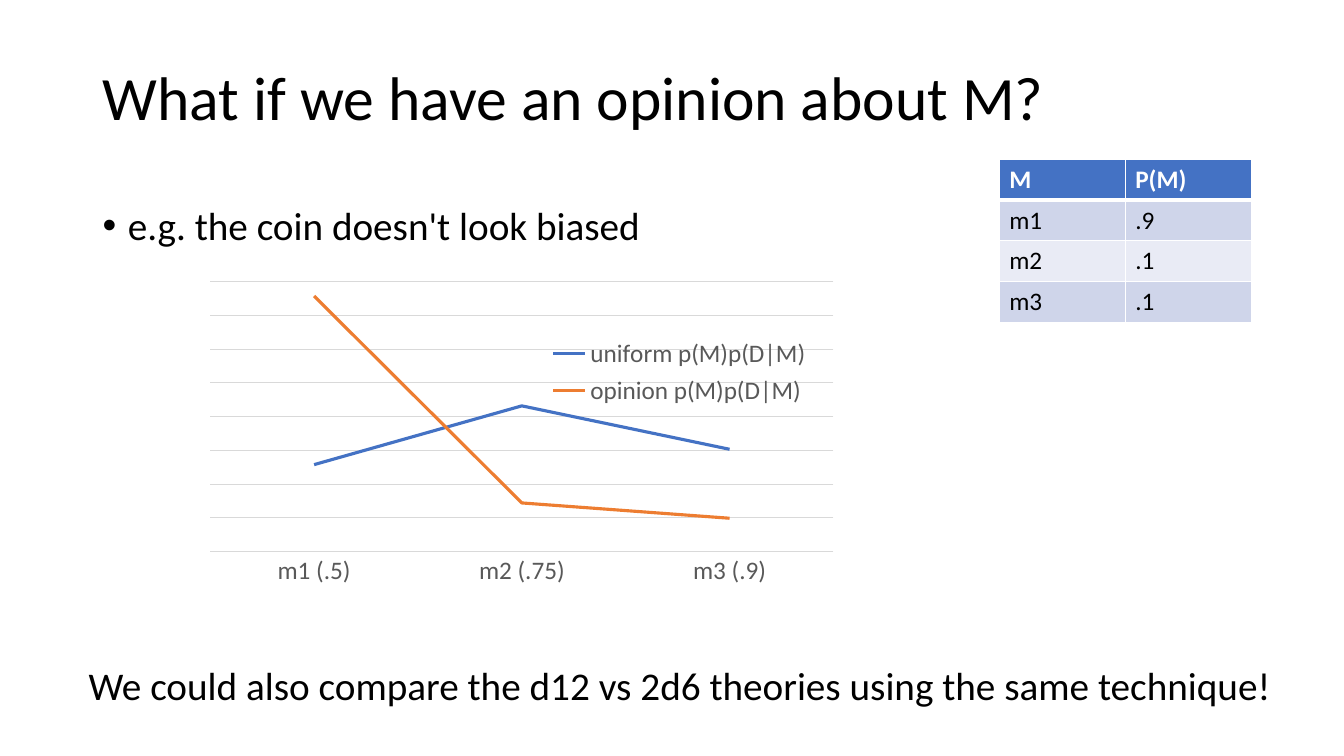
from lxml import etree
from pptx import Presentation
from pptx.chart.data import CategoryChartData
from pptx.dml.color import RGBColor
from pptx.enum import chart as ch, text
from pptx.oxml import parse_xml
from pptx.oxml.ns import nsdecls, qn
from pptx.util import Inches, Pt

FONT = "Calibri"
BLACK = RGBColor(0, 0, 0)
WHITE = RGBColor(0xFF, 0xFF, 0xFF)
GREY = RGBColor(0x59, 0x59, 0x59)
GRID = RGBColor(0xD9, 0xD9, 0xD9)
BLUE = RGBColor(0x44, 0x72, 0xC4)
ORANGE = RGBColor(0xED, 0x7D, 0x31)
BAND = RGBColor(0xCF, 0xD5, 0xEA)
PALE = RGBColor(0xE9, 0xEB, 0xF5)

PRIOR = [("M", "P(M)"), ("m1", ".9"), ("m2", ".1"), ("m3", ".1")]
CATS = ["m1 (.5)", "m2 (.75)", "m3 (.9)"]
SERIES = [
    ("uniform p(M)p(D|M)", (34, 57, 40), BLUE),
    ("opinion p(M)p(D|M)", (100, 19, 13), ORANGE),
]
STEP = 13.2


def style(font, size, color, bold=False):
    font.name = FONT
    font.size = Pt(size)
    font.color.rgb = color
    font.bold = bold


def place(shape, box):
    shape.left, shape.top, shape.width, shape.height = map(Inches, box)


def add_title(slide, words, box):
    title = slide.shapes.title
    place(title, box)
    frame = title.text_frame
    frame.text = words
    frame.auto_size = text.MSO_AUTO_SIZE.NONE
    frame.vertical_anchor = text.MSO_ANCHOR.MIDDLE
    para = frame.paragraphs[0]
    para.alignment = text.PP_ALIGN.LEFT
    para.line_spacing = 0.9
    style(para.runs[0].font, 44, BLACK)


def add_text(slide, words, box, wrap=True):
    frame = slide.shapes.add_textbox(*map(Inches, box)).text_frame
    frame.word_wrap = wrap
    frame.text = words
    para = frame.paragraphs[0]
    style(para.runs[0].font, 28, BLACK)
    return para


def add_bullet(para):
    para.line_spacing = 0.9
    props = para._p.get_or_add_pPr()
    props.set("marL", str(Inches(0.25)))
    props.set("indent", str(-Inches(0.25)))
    etree.SubElement(props, qn("a:buFont")).set("typeface", "Arial")
    etree.SubElement(props, qn("a:buChar")).set("char", "•")


def add_edges(cell, top, bottom):
    """Give the cell white borders, 1 pt at the sides."""
    props = cell._tc.get_or_add_tcPr()
    for i, (side, width) in enumerate(zip("LRTB", (1, 1, top, bottom))):
        props.insert(i, parse_xml(
            f'<a:ln{side} {nsdecls("a")} w="{Pt(width)}"><a:solidFill>'
            f'<a:srgbClr val="{WHITE}"/></a:solidFill></a:ln{side}>'))


def add_prior(slide, box):
    table = slide.shapes.add_table(len(PRIOR), 2, *map(Inches, box)).table
    for r, row in enumerate(PRIOR):
        for c, words in enumerate(row):
            cell = table.cell(r, c)
            cell.text = words
            head = r == 0
            style(cell.text_frame.paragraphs[0].runs[0].font, 18,
                  WHITE if head else BLACK, head)
            cell.fill.solid()
            cell.fill.fore_color.rgb = BLUE if head else (PALE, BAND)[r % 2]
            add_edges(cell, 3 if r == 1 else 1, 3 if head else 1)


def layout(box, inner=False):
    """Make a manual chart layout from fractions of the chart."""
    target = '<c:layoutTarget val="inner"/>' if inner else ""
    modes = '<c:xMode val="edge"/><c:yMode val="edge"/>'
    sizes = "".join(f'<c:{k} val="{v}"/>' for k, v in zip("xywh", box))
    return parse_xml(f'<c:layout {nsdecls("c")}><c:manualLayout>{target}'
                     f'{modes}{sizes}</c:manualLayout></c:layout>')


def draw_line(line, color, width):
    line.color.rgb = color
    line.width = Pt(width)


def add_graph(slide, box):
    data = CategoryChartData()
    data.categories = CATS
    for name, values, _ in SERIES:
        data.add_series(name, values)
    graph = slide.shapes.add_chart(
        ch.XL_CHART_TYPE.LINE, *map(Inches, box), data).chart
    graph.has_title = False
    style(graph.font, 18, GREY)

    for line, (_, _, color) in zip(graph.plots[0].series, SERIES):
        line.smooth = False
        line.marker.style = ch.XL_MARKER_STYLE.NONE
        draw_line(line.format.line, color, 2.25)
    graph.plots[0].vary_by_categories = False

    cats = graph.category_axis
    cats.major_tick_mark = ch.XL_TICK_MARK.NONE
    cats.has_major_gridlines = False
    style(cats.tick_labels.font, 18, GREY)
    draw_line(cats.format.line, GRID, 0.75)

    vals = graph.value_axis
    vals.minimum_scale = 0
    vals.maximum_scale = 8 * STEP
    vals.major_unit = STEP
    vals.has_major_gridlines = True
    draw_line(vals.major_gridlines.format.line, GRID, 0.75)
    vals.visible = False

    graph.has_legend = True
    legend = graph.legend
    legend.position = ch.XL_LEGEND_POSITION.BOTTOM
    legend.include_in_layout = False
    style(legend.font, 18, GREY)
    key = legend._element
    area = graph._chartSpace.chart.plotArea
    for part in (key, area):
        for old in part.findall(qn("c:layout")):
            part.remove(old)
    key.find(qn("c:legendPos")).addnext(layout((0.52, 0.15, 0.45, 0.24)))
    area.insert(0, layout((0, 0, 0.99, 0.81), inner=True))


def main():
    deck = Presentation()
    deck.slide_width, deck.slide_height = Inches(13.33), Inches(7.5)
    slide = deck.slides.add_slide(deck.slide_layouts[5])
    add_title(slide, "What if we have an opinion about M?",
              (0.92, 0.27, 11.5, 1.45))
    add_bullet(add_text(slide, "e.g. the coin doesn't look biased",
                        (0.92, 2, 11.5, 0.8)))
    add_prior(slide, (9.91, 1.58, 2.5, 1.62))
    add_text(slide, "We could also compare the d12 vs 2d6 theories "
             "using the same technique!", (0.78, 6.51, 12.06, 0.57), False)
    add_graph(slide, (2.08, 2.79, 6.25, 3.31))
    deck.save("out.pptx")


if __name__ == "__main__":
    main()
